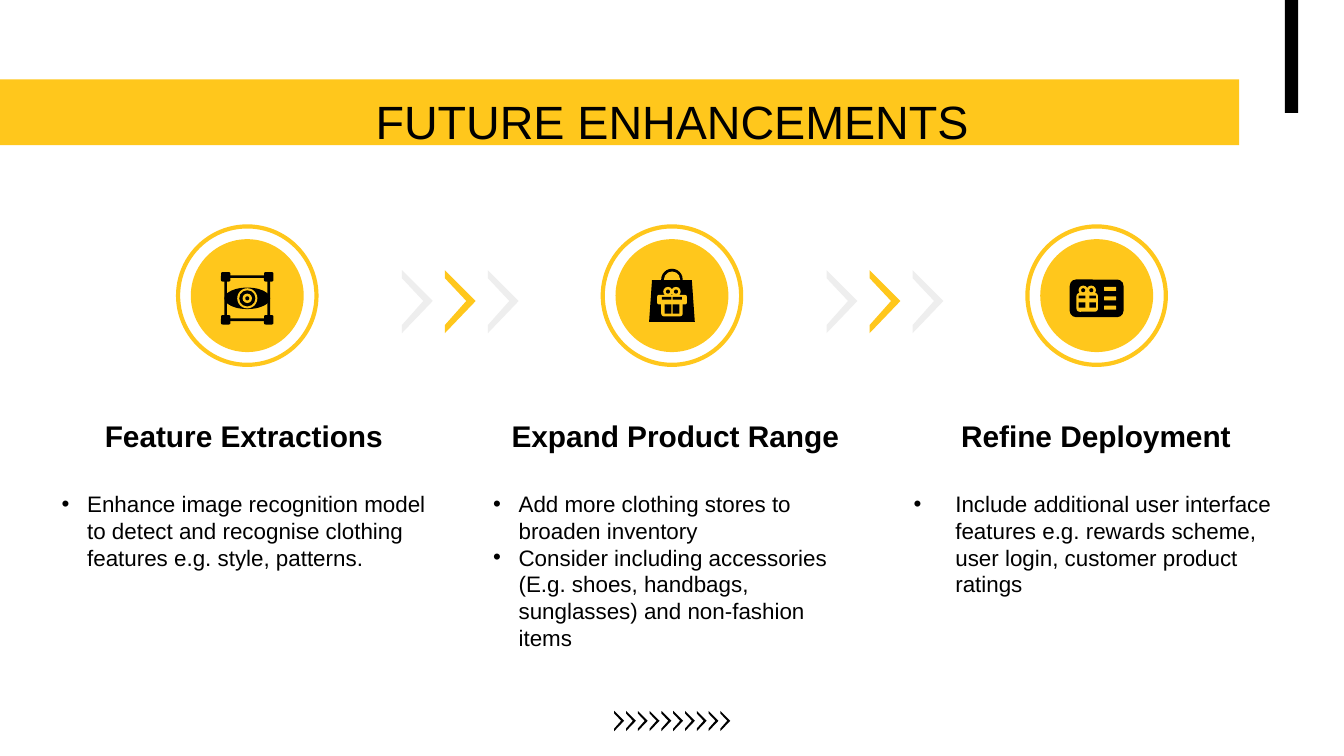
from lxml.etree import SubElement
from pptx import Presentation
from pptx.dml.color import RGBColor
from pptx.enum.shapes import MSO_SHAPE as Shape
from pptx.enum.text import MSO_ANCHOR as Anchor, MSO_AUTO_SIZE as AutoSize, PP_ALIGN as Align
from pptx.oxml.ns import qn
from pptx.util import Inches, Pt

THEME = {
    "font": "Arial", "title": 25, "heading": 16, "body": 12,
    "ink": "000000", "gold": "FFC71C", "pale": "EEEEEE",
}

# Content
TITLE = "FUTURE ENHANCEMENTS"

# Icon parts: shape, centre x and y from the icon centre, width, height, colour
RECT, ROUND, OVAL = Shape.RECTANGLE, Shape.ROUNDED_RECTANGLE, Shape.OVAL
SIDES = (-1, 1)
EYE = [
    (RECT, 0, 0, 0.34, 0.34, "ink"),
    (RECT, 0, 0, 0.30, 0.30, "gold"),
    *[(ROUND, 0.16 * i, 0.16 * j, 0.07, 0.07, "ink") for i in SIDES for j in SIDES],
    (OVAL, 0, 0, 0.34, 0.16, "ink"),
    (OVAL, 0, 0, 0.15, 0.15, "gold"),
    (OVAL, 0, 0, 0.12, 0.12, "ink"),
    (OVAL, 0, 0, 0.07, 0.07, "gold"),
    (OVAL, 0, 0, 0.03, 0.03, "ink"),
]
BAG = [
    (OVAL, 0, -0.14, 0.16, 0.16, "ink"),
    (OVAL, 0, -0.14, 0.12, 0.12, "gold"),
    (Shape.TRAPEZOID, 0, 0.02, 0.34, 0.31, "ink"),
    *[(OVAL, 0.03 * i, -0.05, 0.07, 0.07, "gold") for i in SIDES],
    (ROUND, 0, 0.01, 0.22, 0.07, "gold"),
    (ROUND, 0, 0.07, 0.16, 0.13, "gold"),
    *[(OVAL, 0.03 * i, -0.05, 0.03, 0.03, "ink") for i in SIDES],
    *[(RECT, 0.04 * i, 0, 0.07, 0.02, "ink") for i in SIDES],
    *[(RECT, 0.03 * i, 0.08, 0.05, 0.07, "ink") for i in SIDES],
]
GIFT_X = -0.07
CARD = [
    (ROUND, 0, 0, 0.40, 0.28, "ink"),
    *[(OVAL, GIFT_X + 0.03 * i, -0.06, 0.07, 0.07, "gold") for i in SIDES],
    (ROUND, GIFT_X, 0.03, 0.16, 0.14, "gold"),
    *[(OVAL, GIFT_X + 0.03 * i, -0.06, 0.03, 0.03, "ink") for i in SIDES],
    *[(RECT, GIFT_X + 0.04 * i, -0.01, 0.05, 0.02, "ink") for i in SIDES],
    *[(RECT, GIFT_X + 0.04 * i, 0.05, 0.05, 0.04, "ink") for i in SIDES],
    *[(ROUND, 0.1, 0.07 * row, 0.09, 0.03, "gold") for row in (-1, 0, 1)],
]

# Heading, bullets, icon, text left, bullet indent
STEPS = [
    ("Feature Extractions",
     ["Enhance image recognition model to detect and recognise clothing features "
      "e.g. style, patterns."], EYE, 0.36, 0.19),
    ("Expand Product Range",
     ["Add more clothing stores to broaden inventory",
      "Consider including accessories (E.g. shoes, handbags, sunglasses) and "
      "non-fashion items"], BAG, 3.57, 0.19),
    ("Refine Deployment",
     ["Include additional user interface features e.g. rewards scheme, user login, "
      "customer product ratings"], CARD, 6.7, 0.31),
]

# Layout
FIRST_X, PITCH, CIRCLE_Y, ICON_Y = 1.84, 3.16, 2.2, 2.22
CHEVRON = [(0, 0.47), (0.23, 0.23), (0, 0), (0, 0.06), (0.16, 0.23), (0, 0.41)]


def colour(name):
    return RGBColor.from_string(THEME[name])


def paint(sp, fill):
    sp.shadow.inherit = False
    sp.fill.solid()
    sp.fill.fore_color.rgb = colour(fill)
    sp.line.fill.background()
    return sp


def add_centred(shapes, kind, x, y, w, h, fill):
    sp = shapes.add_shape(kind, Inches(x - w / 2), Inches(y - h / 2), Inches(w), Inches(h))
    if kind == Shape.TRAPEZOID:
        sp.adjustments[0] = 0.07
    return paint(sp, fill)


def add_chevron(shapes, x, y, scale, fill):
    pts = [(Inches(x + dx * scale), Inches(y + dy * scale)) for dx, dy in CHEVRON]
    builder = shapes.build_freeform(*pts[0], scale=1.0)
    builder.add_line_segments(pts[1:], close=True)
    paint(builder.convert_to_shape(), fill)


def add_run(p, text, size, bold=False):
    r = p.add_run()
    r.text = text
    r.font.name, r.font.size, r.font.bold = THEME["font"], Pt(THEME[size]), bold
    r.font.color.rgb = colour("ink")


def set_frame(tf):
    tf.word_wrap = True
    tf.auto_size = AutoSize.NONE
    tf.margin_left = tf.margin_right = tf.margin_top = tf.margin_bottom = Inches(0.1)


def add_bullet(tf, text, indent):
    p = tf.add_paragraph()
    pPr = p._p.get_or_add_pPr()
    pPr.set("marL", str(Inches(indent)))
    pPr.set("indent", str(-Inches(indent)))
    SubElement(pPr, qn("a:buFont")).set("typeface", THEME["font"])
    SubElement(pPr, qn("a:buChar")).set("char", "•")
    add_run(p, text, "body")


prs = Presentation()
prs.slide_width = Inches(10)
prs.slide_height = prs.slide_width * 9 // 16
slide = prs.slides.add_slide(prs.slide_layouts[5])
shapes = slide.shapes

# Banner and corner bar
for x, y, w, h, fill in [(0, 0.59, 9.22, 0.49, "gold"), (9.56, 0, 0.1, 0.84, "ink")]:
    paint(shapes.add_shape(RECT, Inches(x), Inches(y), Inches(w), Inches(h)), fill)

# Title, in front of the banner
title = shapes.title
title.left, title.top, title.width, title.height = map(Inches, (0.78, 0.63, 8.44, 0.54))
set_frame(title.text_frame)
title.text_frame.vertical_anchor = Anchor.MIDDLE
p = title.text_frame.paragraphs[0]
p.alignment = Align.CENTER
add_run(p, TITLE, "title")
title.element.getparent().append(title.element)

# Steps: ringed icon, text, and arrows towards the next step
for i, (heading, bullets, icon, left, indent) in enumerate(STEPS):
    cx = FIRST_X + PITCH * i
    group = shapes.add_group_shape().shapes
    ring = add_centred(group, OVAL, cx, CIRCLE_Y, 1.03, 1.03, "gold")
    ring.fill.background()
    ring.line.color.rgb = colour("gold")
    ring.line.width = Pt(2.25)
    add_centred(group, OVAL, cx, CIRCLE_Y, 0.84, 0.84, "gold")
    for kind, dx, dy, w, h, fill in icon:
        add_centred(group, kind, cx + dx, ICON_Y + dy, w, h, fill)

    tf = shapes.add_textbox(Inches(left), Inches(3.01), Inches(2.91), Inches(1.45)).text_frame
    set_frame(tf)
    p = tf.paragraphs[0]
    p.alignment = Align.CENTER
    p.space_after = Pt(19.4)
    add_run(p, heading, "heading", bold=True)
    for text in bullets:
        add_bullet(tf, text, indent)

    if i < len(STEPS) - 1:
        arrows = shapes.add_group_shape().shapes
        for j, fill in enumerate(("pale", "gold", "pale")):
            add_chevron(arrows, cx + 1.15 + 0.32 * j, 2.01, 1, fill)

# Footer chevrons
footer = shapes.add_group_shape().shapes
footer_step = (5.36 - 4.57) / 9
for i in range(10):
    add_chevron(footer, 4.57 + footer_step * i, 5.29, 0.32, "ink")

prs.save("out.pptx")
